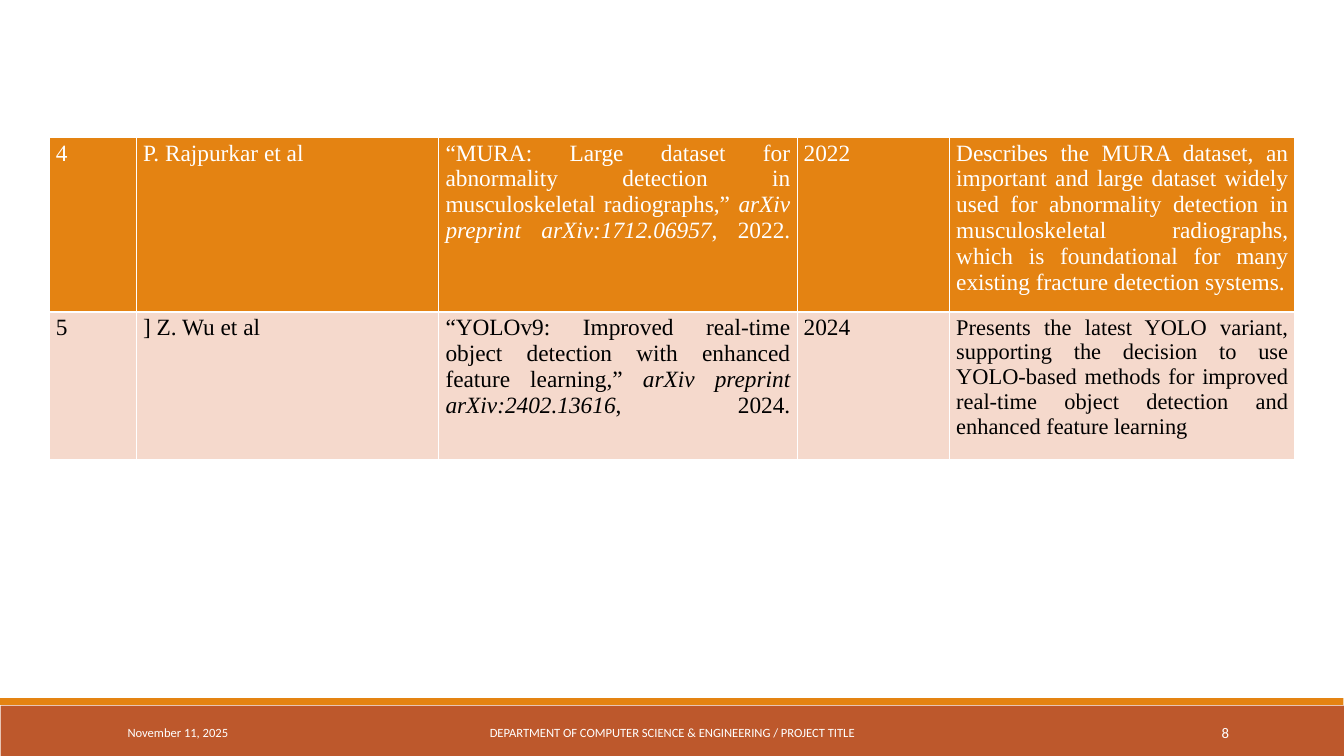
from dataclasses import dataclass

from lxml import etree
from pptx import Presentation
from pptx.dml.color import RGBColor
from pptx.enum import shapes, text
from pptx.oxml import ns
from pptx.util import Inches, Pt


@dataclass(frozen=True)
class Theme:
    orange: str = "E48312"
    rust: str = "BD582C"
    blush: str = "F5D9CC"
    white: str = "FFFFFF"
    black: str = "000000"
    footer_font: str = "Calibri"
    table_font: str = "Times New Roman"
    footer_size: float = 13.5
    number_size: float = 15.8
    cell_size: float = 25
    small_cell_size: float = 24


THEME = Theme()
ALIGN = text.PP_ALIGN

COLUMNS = [1.3, 4.5, 5.33, 2.27, 5.14]
# Each row: fill, text colour, height, size of the last column, cells.
# A cell is a list of (text, italic) runs; "\n" is a line break.
ROWS = [
    (THEME.orange, THEME.white, 2.58, THEME.cell_size, [
        [("4", False)],
        [("P. Rajpurkar et al", False)],
        [("“MURA: Large dataset for abnormality detection in "
          "musculoskeletal radiographs,” ", False),
         ("arXiv preprint arXiv:1712.06957", True),
         (", 2022.", False), ("\n", False)],
        [("2022", False)],
        [("Describes the MURA dataset, an important and large dataset widely "
          "used for abnormality detection in musculoskeletal radiographs, "
          "which is foundational for many existing fracture detection "
          "systems.", False)],
    ]),
    (THEME.blush, THEME.black, 2.2, THEME.small_cell_size, [
        [("5", False)],
        [("] Z. Wu et al", False)],
        [("“YOLOv9: Improved real-time object detection with enhanced "
          "feature learning,” ", False),
         ("arXiv preprint arXiv:2402.13616", True),
         (", 2024.", False), ("\n", False)],
        [("2024", False)],
        [("Presents the latest YOLO variant, supporting the decision to use "
          "YOLO-based methods for improved real-time object detection and "
          "enhanced feature learning", False)],
    ]),
]


def add_run(p, content, color, **formats):
    r = p.add_run()
    r.text = content
    for name, value in formats.items():
        setattr(r.font, name, value)
    r.font.color.rgb = RGBColor.from_string(color)


def add_bar(s, box, color):
    bar = s.shapes.add_shape(shapes.MSO_SHAPE.RECTANGLE, *map(Inches, box))
    bar.shadow.inherit = False
    bar.fill.solid()
    bar.fill.fore_color.rgb = RGBColor.from_string(color)
    bar.line.fill.background()


def add_footer_text(s, left, width, content, align, size):
    sp = s.shapes.add_textbox(Inches(left), Inches(10.6), Inches(width), Inches(0.6))
    tf = sp.text_frame
    tf.word_wrap = True
    tf.vertical_anchor = text.MSO_ANCHOR.MIDDLE
    p = tf.paragraphs[0]
    p.alignment = align
    add_run(p, content, THEME.white, name=THEME.footer_font, size=Pt(size))


def set_borders(cell, bottom):
    tc_pr = cell._tc.get_or_add_tcPr()
    for side, width in {"L": 1, "R": 1, "T": 1, "B": bottom}.items():
        ln = etree.SubElement(tc_pr, ns.qn(f"a:ln{side}"), w=str(Pt(width)))
        fill = etree.SubElement(ln, ns.qn("a:solidFill"))
        etree.SubElement(fill, ns.qn("a:srgbClr"), val=THEME.white)


def fill_cell(cell, runs, fill, color, size, bottom):
    set_borders(cell, bottom)
    cell.fill.solid()
    cell.fill.fore_color.rgb = RGBColor.from_string(fill)
    p = cell.text_frame.paragraphs[0]
    p.alignment = ALIGN.JUSTIFY
    for content, italic in runs:
        if content == "\n":
            p.add_line_break()
        else:
            add_run(p, content, color, name=THEME.table_font, size=Pt(size),
                    italic=italic, bold=False)


def add_literature_table(s):
    height = sum(row[2] for row in ROWS)
    frame = s.shapes.add_table(len(ROWS), len(COLUMNS), Inches(0.73), Inches(2.04),
                               Inches(sum(COLUMNS)), Inches(height))
    table = frame.table
    for column, width in zip(table.columns, COLUMNS):
        column.width = Inches(width)
    for i, (fill, color, row_height, last_size, cells) in enumerate(ROWS):
        table.rows[i].height = Inches(row_height)
        for j, runs in enumerate(cells):
            size = last_size if j == len(COLUMNS) - 1 else THEME.cell_size
            fill_cell(table.cell(i, j), runs, fill, color, size,
                      bottom=3 if i == 0 else 1)


def main():
    prs = Presentation()
    prs.slide_width, prs.slide_height = Inches(20), Inches(11.25)
    s = prs.slides.add_slide(prs.slide_layouts[6])

    # Footer bars
    add_bar(s, (0.01, 10.5, 19.99, 0.75), THEME.rust)
    add_bar(s, (0, 10.39, 19.99, 0.1), THEME.orange)

    # Footer texts
    add_footer_text(s, 1.8, 4.06, "November 11, 2025", ALIGN.LEFT, THEME.footer_size)
    add_footer_text(s, 6.05, 7.91,
                    "DEPARTMENT OF COMPUTER SCIENCE & ENGINEERING / PROJECT TITLE",
                    ALIGN.CENTER, THEME.footer_size)
    add_footer_text(s, 16.24, 2.15, "8", ALIGN.RIGHT, THEME.number_size)

    # Literature survey
    add_literature_table(s)

    prs.save("out.pptx")


if __name__ == "__main__":
    main()
